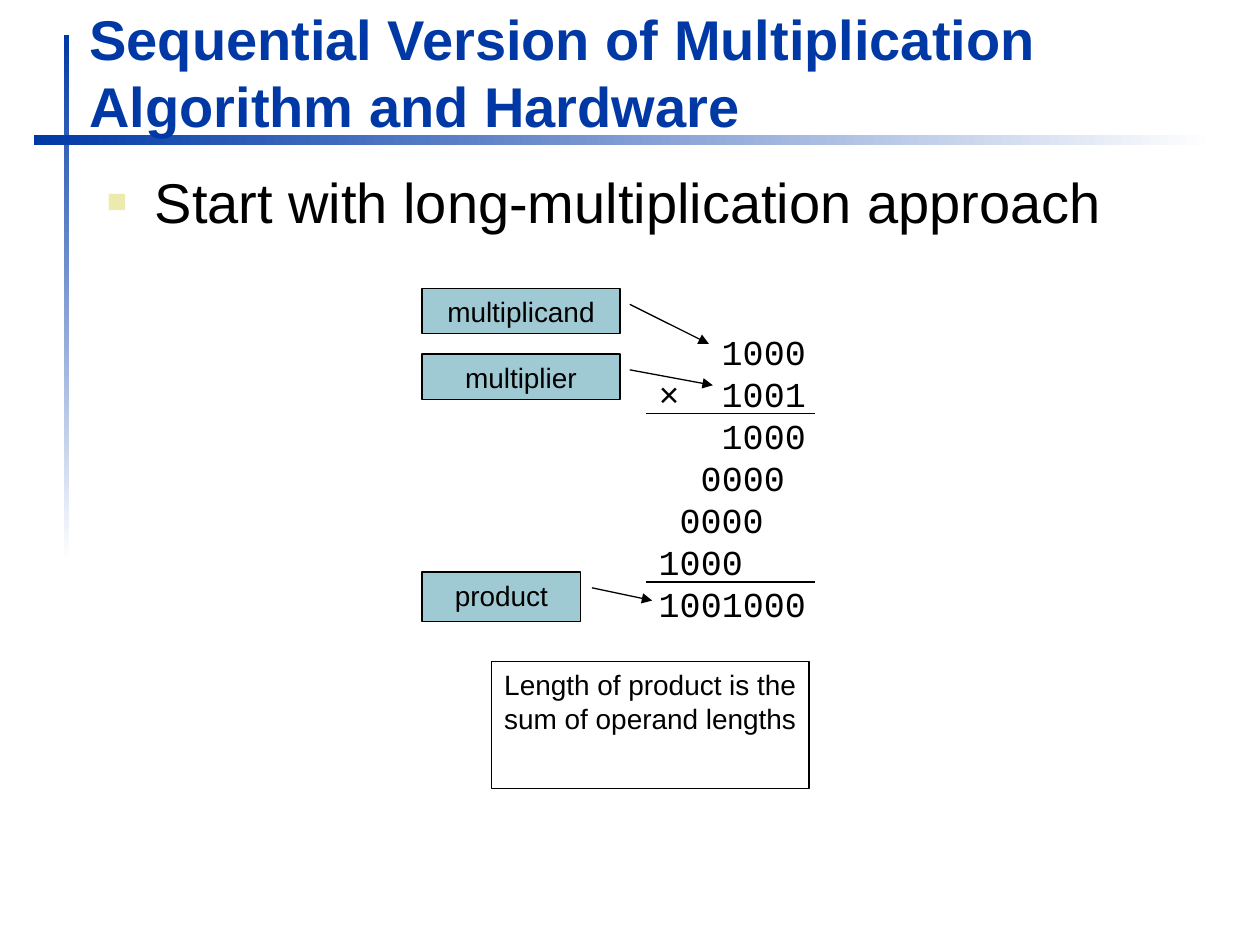
from dataclasses import dataclass

from lxml import etree
from pptx import Presentation
from pptx import util as u
from pptx.dml.color import RGBColor
from pptx.enum import shapes, text
from pptx.oxml import ns


@dataclass(frozen=True)
class Theme:
    blue: RGBColor = RGBColor(0x00, 0x39, 0xA6)
    white: RGBColor = RGBColor(0xFF, 0xFF, 0xFF)
    black: RGBColor = RGBColor(0x00, 0x00, 0x00)
    label: RGBColor = RGBColor(0x9F, 0xCA, 0xD3)
    bullet: str = "ECEAAC"
    sans: str = "Arial"
    mono: str = "Courier New"
    heading: int = 32
    digits: int = 20
    note: int = 16
    rule: float = 0.75


THEME = Theme()
DIGIT_WIDTH = u.Pt(THEME.digits * 0.6)  # every monospaced character is 0.6 em wide


def inches(box):
    return [u.Inches(length) for length in box]


def add_xml(parent, tag, **attributes):
    return etree.SubElement(parent, ns.qn(tag), attributes)


def apply_format(target, values):
    for name, value in values.items():
        setattr(target, name, value)


def style_font(paragraph, size, name=THEME.sans, color=THEME.black, bold=False):
    apply_format(paragraph.font, {"size": u.Pt(size), "name": name, "bold": bold})
    paragraph.font.color.rgb = color


def outline(shape):
    shape.line.color.rgb = THEME.black
    shape.line.width = u.Pt(THEME.rule)


def add_bar(slide, box, angle):
    bar = slide.shapes.add_shape(shapes.MSO_SHAPE.RECTANGLE, *inches(box))
    bar.shadow.inherit = False
    bar.line.fill.background()
    bar.fill.gradient()
    bar.fill.gradient_angle = angle
    for stop, color, position in zip(bar.fill.gradient_stops, (THEME.blue, THEME.white), (0, 1)):
        stop.color.rgb = color
        stop.position = position
    # The bars lie behind the title
    slide.shapes.title._element.addprevious(bar._element)


def add_title(slide, box, wording):
    title = slide.shapes.title
    apply_format(title, dict(zip(("left", "top", "width", "height"), inches(box))))
    title.text = wording
    apply_format(title.text_frame, {"vertical_anchor": text.MSO_ANCHOR.BOTTOM,
                                    "auto_size": text.MSO_AUTO_SIZE.NONE,
                                    "word_wrap": True})
    heading = title.text_frame.paragraphs[0]
    heading.alignment = text.PP_ALIGN.LEFT
    style_font(heading, THEME.heading, color=THEME.blue, bold=True)


def add_bullet(slide, box, wording):
    frame = slide.shapes.add_textbox(*inches(box)).text_frame
    frame.word_wrap = True
    point = frame.paragraphs[0]
    point.text = wording
    properties = point._p.get_or_add_pPr()
    indent = u.Inches(0.38)
    properties.set("marL", str(indent))
    properties.set("indent", str(-indent))
    add_xml(add_xml(properties, "a:buClr"), "a:srgbClr", val=THEME.bullet)
    add_xml(properties, "a:buSzPct", val="60000")
    add_xml(properties, "a:buFont", typeface=THEME.sans)
    add_xml(properties, "a:buChar", char="■")
    style_font(point, THEME.heading)


def add_multiplication(slide, box, rows, rule_heights):
    """Rows are (offset in digits, wording); rules are measured from the top."""
    left, top, width, height = inches(box)
    group = slide.shapes.add_group_shape()
    frame = group.shapes.add_textbox(left, top, width, height).text_frame
    apply_format(frame, {"word_wrap": True, "margin_right": 0})
    for index, (offset, wording) in enumerate(rows):
        row = frame.add_paragraph() if index else frame.paragraphs[0]
        row.text = wording
        properties = row._p.get_or_add_pPr()
        properties.set("marL", str(offset * DIGIT_WIDTH))
        properties.set("indent", "0")
        if "\t" in wording:
            stops = add_xml(properties, "a:tabLst")
            add_xml(stops, "a:tab", pos=str(3 * DIGIT_WIDTH), algn="l")
        style_font(row, THEME.digits, THEME.mono)
    for rule_height in rule_heights:
        y = top + u.Inches(rule_height)
        rule = group.shapes.add_connector(shapes.MSO_CONNECTOR.STRAIGHT,
                                          left, y, left + u.Inches(1.34), y)
        outline(rule)
        add_xml(rule._element.spPr, "a:effectLst")


def add_box(slide, box, wording, kind=shapes.MSO_SHAPE.RECTANGLE):
    panel = slide.shapes.add_shape(kind, *inches(box))
    panel.shadow.inherit = False
    panel.fill.background()
    outline(panel)
    panel.text_frame.text = wording
    apply_format(panel.text_frame, {"vertical_anchor": text.MSO_ANCHOR.TOP, "word_wrap": True})
    caption = panel.text_frame.paragraphs[0]
    caption.alignment = text.PP_ALIGN.CENTER
    style_font(caption, THEME.note)
    return panel


def add_callout(slide, box, wording, pointer):
    """The pointer runs from (y, x) to (y, x), as shares of the box."""
    callout = add_box(slide, box, wording, shapes.MSO_SHAPE.LINE_CALLOUT_1)
    callout.fill.solid()
    callout.fill.fore_color.rgb = THEME.label
    for index, share in enumerate(pointer):
        callout.adjustments[index] = share
    add_xml(callout.line._get_or_add_ln(), "a:tailEnd", type="triangle")


def build_slide(presentation):
    slide = presentation.slides.add_slide(presentation.slide_layouts[5])

    # Heading with its fading bars
    add_bar(slide, (0.51, 0.28, 0.04, 4.17), 270)
    add_bar(slide, (0.27, 1.07, 9.37, 0.08), 0)
    add_title(slide, (0.61, -0.03, 9.03, 1.18),
              "Sequential Version of Multiplication Algorithm and Hardware")
    add_bullet(slide, (0.75, 1.28, 9.05, 0.79), "Start with long-multiplication approach")

    # Worked example
    add_multiplication(slide, (5.13, 2.57, 1.37, 2.43),
                       [(3, "1000"), (0, "×\t1001"), (3, "1000"), (2, "0000"),
                        (1, "0000"), (0, "1000"), (0, "1001000")],
                       (0.71, 2.05))
    add_box(slide, (3.9, 5.25, 2.52, 1.01), "Length of product is the sum of operand lengths")

    # Names of the numbers
    for wording, top, width, height, pointer in (
            ("multiplicand", 2.29, 1.57, 0.36, (0.35, 1.05, 1.22, 1.45)),
            ("multiplier", 2.81, 1.57, 0.36, (0.35, 1.05, 0.69, 1.47)),
            ("product", 4.54, 1.26, 0.39, (0.32, 1.07, 0.58, 1.45))):
        add_callout(slide, (3.35, top, width, height), wording, pointer)


def main():
    presentation = Presentation()
    presentation.slide_width, presentation.slide_height = inches((10, 7.5))
    build_slide(presentation)
    presentation.save("out.pptx")


if __name__ == "__main__":
    main()
